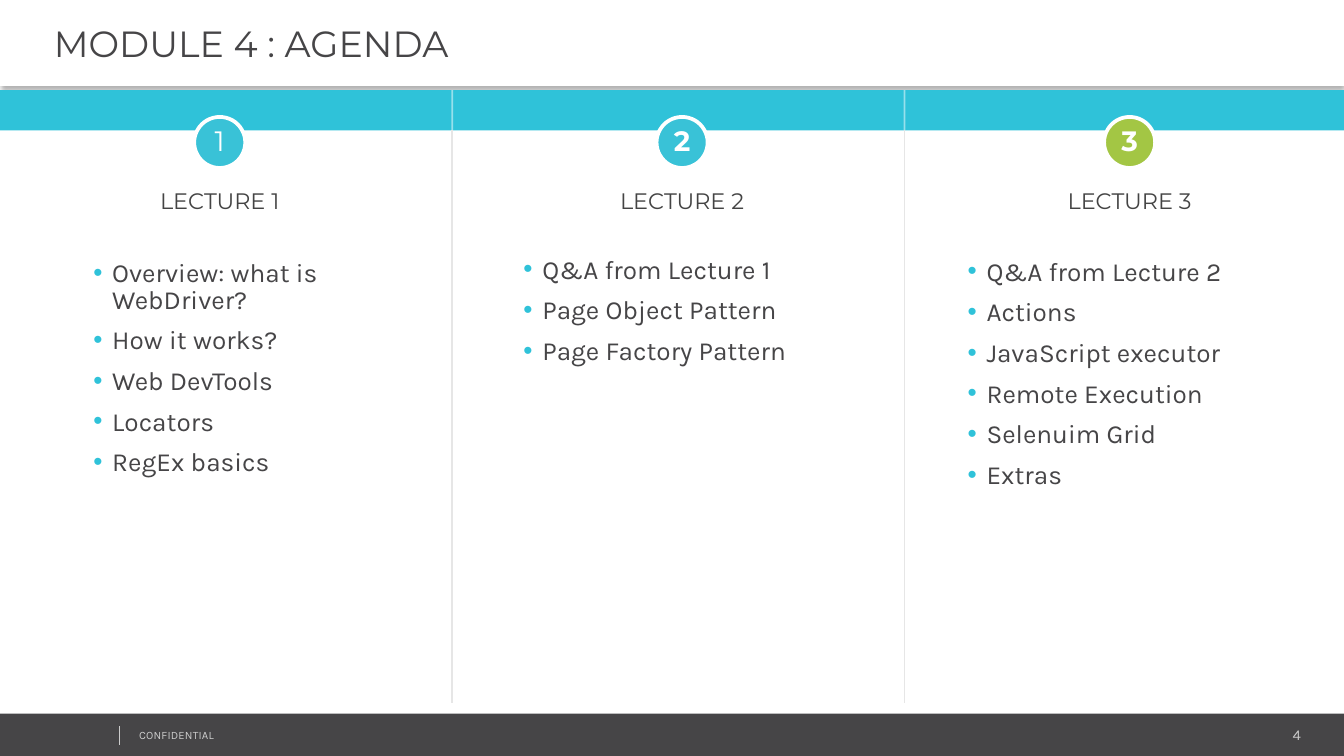
from lxml import etree
from pptx import Presentation
from pptx import util as u
from pptx.dml.color import RGBColor
from pptx.enum import shapes, text
from pptx.oxml import ns

INK = {"ink": "464547", "head": "444444", "cyan": "2FC2D9", "disc": "39C2D7",
       "lime": "A3C644", "rule": "E6E6E6", "pale": "CCCCCC", "white": "FFFFFF",
       "black": "000000"}
COLS, ROWS = 100, 56.25
CELL = u.Inches(0.1)
LEFT, MID, RIGHT = text.PP_ALIGN.LEFT, text.PP_ALIGN.CENTER, text.PP_ALIGN.RIGHT
LECTURES = [
    {"name": "LECTURE 1", "mid": 16.35, "list": (5.95, 12.3, 20.4), "disc": "disc",
     "bold": False, "lead": 14,
     "items": ["Overview: what is WebDriver?", "How it works?", "Web DevTools",
               "Locators", "RegEx basics"]},
    {"name": "LECTURE 2", "mid": 17.1, "list": (4.3, 12.3, 11.9), "disc": "disc",
     "bold": True, "lead": 12,
     "items": ["Q&A from Lecture 1", "Page Object Pattern", "Page Factory Pattern"]},
    {"name": "LECTURE 3", "mid": 16.75, "list": (3.7, 12.45, 17.5), "disc": "lime",
     "bold": True, "lead": 12,
     "items": ["Q&A from Lecture 2", "Actions", "JavaScript executor",
               "Remote Execution", "Selenuim Grid", "Extras"]},
]


def grid(*cells):
    """Turn grid cells into slide lengths."""
    return [round(c * CELL) for c in cells]


def tint(name):
    """Look up a colour."""
    return RGBColor.from_string(INK[name])


def node(top, tag, **attrs):
    """Add a drawing element under another."""
    return etree.SubElement(top, ns.qn("a:" + tag), attrs)


def style(para, face, size, hue, align=LEFT, bold=False):
    """Format a paragraph and its runs."""
    para.alignment = align
    for run in para.runs:
        font = run.font
        font.name, font.size, font.bold = face, u.Pt(size), bold
        font.color.rgb = tint(hue)


def inset(frame, *pads):
    """Set left, top, right and bottom margins in inches."""
    (frame.margin_left, frame.margin_top,
     frame.margin_right, frame.margin_bottom) = map(u.Inches, pads)


def block(slide, kind, box, fill):
    """Draw a flat filled shape."""
    shape = slide.shapes.add_shape(kind, *grid(*box))
    shape.shadow.inherit = False
    shape.fill.solid()
    shape.fill.fore_color.rgb = tint(fill)
    shape.line.fill.background()
    return shape


def label(slide, box, words, *look):
    """Write a one-line text box."""
    frame = slide.shapes.add_textbox(*grid(*box)).text_frame
    frame.word_wrap = True
    frame.text = words
    style(frame.paragraphs[0], *look)
    return frame


def rule(slide, x, top, end, hue, width, alpha=None):
    """Draw an upright line."""
    line = slide.shapes.add_connector(shapes.MSO_CONNECTOR.STRAIGHT,
                                      *grid(x, end, x, top))
    line.line.color.rgb = tint(hue)
    line.line.width = u.Pt(width)
    props = line._element.spPr
    if alpha:
        node(props.find(".//" + ns.qn("a:srgbClr")), "alpha", val=str(alpha * 1000))
    node(props, "effectLst")


def header(slide, box, words):
    """Fill the title bar and give it a soft shadow."""
    bar = slide.shapes.title
    bar.left, bar.top, bar.width, bar.height = grid(*box)
    bar.fill.solid()
    bar.fill.fore_color.rgb = tint("white")
    glow = node(node(bar._element.spPr, "effectLst"), "outerShdw", blurRad="39370",
                dist="25400", dir="5400000", algn="t", rotWithShape="0")
    node(node(glow, "srgbClr", val=INK["black"]), "alpha", val="30000")
    frame = bar.text_frame
    frame.text = words
    frame.auto_size = text.MSO_AUTO_SIZE.NONE
    frame.vertical_anchor = text.MSO_ANCHOR.MIDDLE
    inset(frame, 0.4, 0.05, 0.1, 0.05)
    style(frame.paragraphs[0], "Montserrat", 19.5, "ink")


def bullets(holder, box, items, lead):
    """Place a bulleted list."""
    holder.left, holder.top, holder.width, holder.height = grid(*box)
    frame = holder.text_frame
    frame.auto_size = text.MSO_AUTO_SIZE.NONE
    frame.vertical_anchor = text.MSO_ANCHOR.TOP
    frame.text = "\n".join(items)
    for i, para in enumerate(frame.paragraphs):
        props = para._p.get_or_add_pPr()
        props.set("marL", str(u.Inches(0.14)))
        props.set("indent", str(-u.Inches(0.14)))
        node(node(props, "buClr"), "srgbClr", val=INK["cyan"])
        node(props, "buFont", typeface="Arial")
        node(props, "buChar", char="•")
        para.line_spacing = u.Pt(12 if i else lead)
        para.space_before, para.space_after = u.Pt(0), u.Pt(9.8)
        style(para, "Karla", 14, "ink")


def column(slide, box, holder, num, talk):
    """Build one lecture column with its badge, heading and list."""
    x, y, wide, tall = box
    if num > 1:
        rule(slide, x, y, y + 3, "white", 1, 50)
        rule(slide, x, y + 3, y + tall, "rule", 1)
    mid = x + talk["mid"]
    disc = block(slide, shapes.MSO_SHAPE.OVAL, (mid - 1.9, y + 2, 3.8, 3.8),
                 talk["disc"])
    disc.line.color.rgb = tint("white")
    disc.line.width = u.Pt(2)
    frame = disc.text_frame
    frame.text = str(num)
    frame.vertical_anchor = text.MSO_ANCHOR.MIDDLE
    inset(frame, 0, 0.02, 0, 0.05)
    style(frame.paragraphs[0], "Montserrat", 15, "white", MID, talk["bold"])
    head = label(slide, (mid - 7.95, y + 6.85, 15.9, 3), talk["name"],
                 "Montserrat", 12, "head", MID)
    head.paragraphs[0].line_spacing = u.Pt(13.5)
    dx, dy, high = talk["list"]
    bullets(holder, (x + dx, y + dy, 25.6, high), talk["items"], talk["lead"])


def footer(slide, box):
    """Draw the dark strip with its note and page number."""
    x, y, wide, tall = box
    block(slide, shapes.MSO_SHAPE.RECTANGLE, box, "ink")
    page = label(slide, (x + 81.2, y + 0.5, 16.3, 2.1), "4", "Karla", 8, "pale", RIGHT)
    note = label(slide, (x + 9.65, y + 0.7, 25.3, 1.8), "CONFIDENTIAL",
                 "Karla", 6, "pale")
    note.paragraphs[0].runs[0]._r.get_or_add_rPr().set("spc", "10")
    for frame in (page, note):
        inset(frame, 0.07, 0.04, 0.07, 0.04)
    rule(slide, x + 8.9, y + 0.9, y + 2.3, "pale", 0.25)


def main():
    """Build the agenda slide."""
    deck = Presentation()
    deck.slide_width, deck.slide_height = grid(COLS, ROWS)
    slide = deck.slides.add_slide(deck.slide_layouts.get_by_name("Comparison"))
    *lists, spare = list(slide.placeholders)[1:]
    spare._element.getparent().remove(spare._element)
    footer(slide, (0, 53.1, COLS, ROWS - 53.1))
    header(slide, (0, 0, COLS, 6.4), "MODULE 4 : AGENDA")
    block(slide, shapes.MSO_SHAPE.RECTANGLE, (0, 6.7, COLS, 3), "cyan")
    wide = 33.65
    for i, (holder, talk) in enumerate(zip(lists, LECTURES)):
        column(slide, (i * wide, 6.7, wide, 45.6), holder, i + 1, talk)
    deck.save("out.pptx")


if __name__ == "__main__":
    main()
